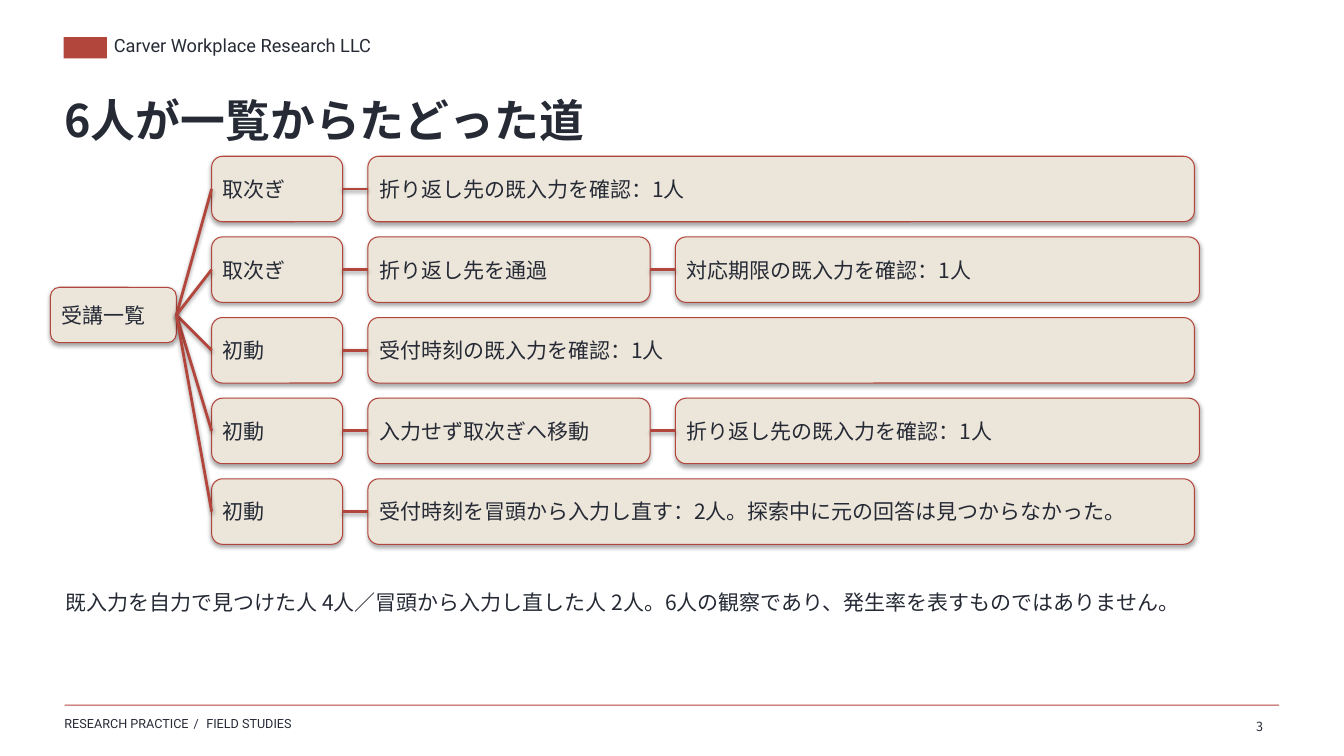
from lxml.etree import SubElement
from pptx import Presentation
from pptx.dml.color import RGBColor
from pptx.enum.shapes import MSO_CONNECTOR, MSO_SHAPE
from pptx.enum.text import MSO_ANCHOR, PP_ALIGN
from pptx.oxml.ns import qn
from pptx.util import Pt

RED = RGBColor(0xB3, 0x46, 0x3C)
SAND = RGBColor(0xEC, 0xE5, 0xDA)
INK = RGBColor(0x25, 0x2A, 0x35)
JP = "Noto Sans CJK JP"
LATIN = "Roboto"


def add_run(p, text, size, font=JP, bold=False):
    r = p.add_run()
    r.text = text
    r.font.size = Pt(size)
    r.font.bold = bold
    r.font.color.rgb = INK
    r.font.name = font
    SubElement(r.font._element, qn("a:ea"), typeface=font)
    return r


def add_shadow(shape, distance, opacity):
    """Give a shape or connector a soft shadow straight below it."""
    effects = SubElement(shape._element.spPr, qn("a:effectLst"))
    shadow = SubElement(effects, qn("a:outerShdw"), blurRad=str(Pt(3.1)),
                        dist=str(Pt(distance)), dir="5400000", rotWithShape="0")
    color = SubElement(shadow, qn("a:srgbClr"), val="000000")
    SubElement(color, qn("a:alpha"), val=str(opacity * 1000))


prs = Presentation()
prs.slide_width, prs.slide_height = Pt(960), Pt(540)
s = prs.slides.add_slide(prs.slide_layouts[6])

# Header mark and footer rule
for left, top, width, height in [(45.4, 26.6, 31, 15.2), (46.1, 503.3, 867.6, 0.7)]:
    bar = s.shapes.add_shape(MSO_SHAPE.RECTANGLE, Pt(left), Pt(top), Pt(width), Pt(height))
    bar.shadow.inherit = False
    bar.fill.solid()
    bar.fill.fore_color.rgb = RED
    bar.line.fill.background()

# Text outside the tree: left, top, width, height, insets, alignment, runs
texts = [
    (81.4, 24.5, 396, 21.6, (0, 0, 7.2, 3.6), PP_ALIGN.LEFT,
     [("Carver Workplace Research LLC", 13, LATIN)]),
    (46.1, 511.2, 396, 17.3, (0, 0, 7.2, 3.6), PP_ALIGN.LEFT,
     [("RESEARCH PRACTICE", 9, LATIN), (" / ", 9, LATIN), ("FIELD STUDIES", 9, LATIN)]),
    (46.1, 66.2, 864, 72, (0, 0, 0, 3.6), PP_ALIGN.LEFT,
     [("6人が一覧からたどった道", 32, JP, True)]),
    (873.4, 509.8, 32.4, 14.4, (3.6,) * 4, PP_ALIGN.RIGHT, [("3", 9)]),
    (43.2, 417.6, 849.6, 57.6, (3.6,) * 4, PP_ALIGN.LEFT,
     [("既入力を自力で見つけた人 4人／冒頭から入力し直した人 2人。"
       "6人の観察であり、発生率を表すものではありません。", 15)]),
]
for left, top, width, height, insets, align, runs in texts:
    tf = s.shapes.add_textbox(Pt(left), Pt(top), Pt(width), Pt(height)).text_frame
    tf.word_wrap = True
    tf.margin_left, tf.margin_top, tf.margin_right, tf.margin_bottom = map(Pt, insets)
    p = tf.paragraphs[0]
    p.alignment = align
    for run in runs:
        r = add_run(p, *run)
        if run[0] == " / ":
            r.font._element.set("spc", "150")

# Tree: each path runs from the root through its steps
ROW_TOP, ROW_PITCH, ROW_HEIGHT = 111.6, 57.6, 46.8
STEP_LEFT, STEP_GAP = 151.2, 18
FIRST, WIDE, MIDDLE, LAST = 93.6, 590.4, 201.6, 374.4
paths = [
    [("取次ぎ", FIRST), ("折り返し先の既入力を確認：1人", WIDE)],
    [("取次ぎ", FIRST), ("折り返し先を通過", MIDDLE), ("対応期限の既入力を確認：1人", LAST)],
    [("初動", FIRST), ("受付時刻の既入力を確認：1人", WIDE)],
    [("初動", FIRST), ("入力せず取次ぎへ移動", MIDDLE), ("折り返し先の既入力を確認：1人", LAST)],
    [("初動", FIRST),
     ("受付時刻を冒頭から入力し直す：2人。探索中に元の回答は見つからなかった。", WIDE)],
]
# Nodes: text, left, top, width, height, whether it starts a path
nodes = [("受講一覧", 36, 205.2, 90, 39.6, False)]
for row, path in enumerate(paths):
    left = STEP_LEFT
    for step, (text, width) in enumerate(path):
        nodes.append((text, left, ROW_TOP + row * ROW_PITCH, width, ROW_HEIGHT, step == 0))
        left += width + STEP_GAP

root = previous = None
for text, left, top, width, height, starts_path in nodes:
    box = s.shapes.add_shape(MSO_SHAPE.ROUNDED_RECTANGLE,
                             Pt(left), Pt(top), Pt(width), Pt(height))
    box.fill.solid()
    box.fill.fore_color.rgb = SAND
    box.line.color.rgb = RED
    box.line.width = Pt(0.75)
    add_shadow(box, 1.8, 35)
    tf = box.text_frame
    tf.word_wrap = True
    tf.vertical_anchor = MSO_ANCHOR.MIDDLE
    tf.margin_left = tf.margin_right = Pt(5.76)
    tf.margin_top = tf.margin_bottom = Pt(3.6)
    p = tf.paragraphs[0]
    p.alignment = PP_ALIGN.LEFT
    add_run(p, text, 15)

    if root is None:
        root = box
    else:
        link = s.shapes.add_connector(MSO_CONNECTOR.STRAIGHT, 0, 0, 0, 0)
        link.begin_connect(root if starts_path else previous, 3)
        link.end_connect(box, 1)
        link.line.color.rgb = RED
        link.line.width = Pt(2)
        add_shadow(link, 1.6, 38)
    previous = box

prs.save("out.pptx")
